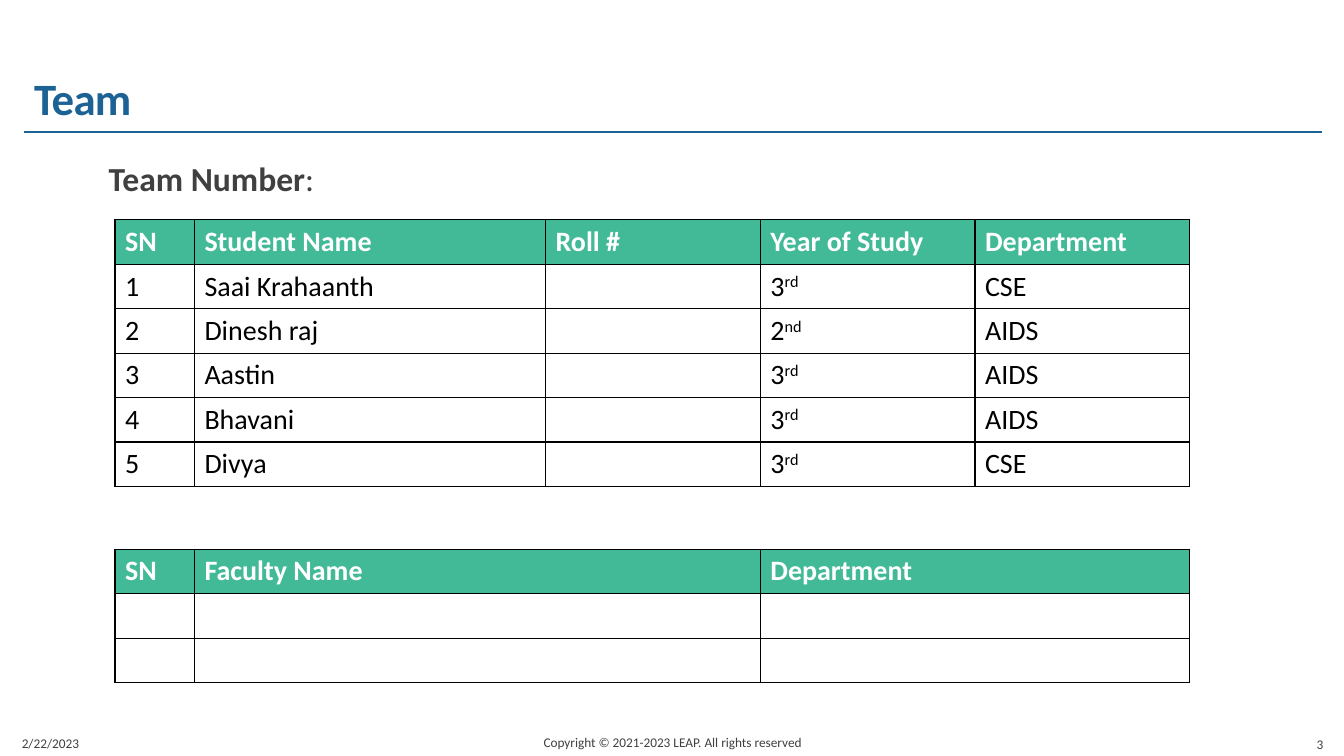
from lxml.etree import SubElement
from pptx import Presentation
from pptx.dml.color import RGBColor
from pptx.enum.shapes import MSO_CONNECTOR
from pptx.enum.text import MSO_ANCHOR, PP_ALIGN
from pptx.oxml.ns import qn
from pptx.util import Cm, Pt

# Content: a cell is a string, or a (number, ordinal suffix) pair
TITLE = "Team"
TEAM_LABEL = "Team Number"
DATE = "2/22/2023"
COPYRIGHT = "Copyright © 2021-2023 LEAP. All rights reserved"
PAGE = "3"
STUDENTS = [
    ("SN", "Student Name", "Roll #", "Year of Study", "Department"),
    ("1", "Saai Krahaanth", "", ("3", "rd"), "CSE"),
    ("2", "Dinesh raj", "", ("2", "nd"), "AIDS"),
    ("3", "Aastin", "", ("3", "rd"), "AIDS"),
    ("4", "Bhavani", "", ("3", "rd"), "AIDS"),
    ("5", "Divya", "", ("3", "rd"), "CSE"),
]
FACULTY = [("SN", "Faculty Name", "Department"), ("",) * 3, ("",) * 3]

THEME = {
    "font": "Calibri",
    "blue": "1D6294", "green": "43BA97", "grey": "404040",
    "black": "000000", "white": "FFFFFF",
    "title": 32, "label": 24, "table": 20, "footer": 9.5,
}

# Layout in centimetres
TABLE_LEFT, ROW_HEIGHT = 2.9, 1.12
STUDENT_COLUMNS = [2, 8.85] + [5.41] * 3
FACULTY_COLUMNS = [2, 14.26, 10.82]
FOOTER_TOP, FOOTER_HEIGHT = 18.03, 1.02

deck = Presentation()
deck.slide_width, deck.slide_height = Cm(33.87), Cm(19.05)
slide = deck.slides.add_slide(deck.slide_layouts[6])


def write(paragraph, text, size="table", color="black", bold=False,
          baseline=None, spacing=None):
    run = paragraph.add_run()
    run.text = text
    font = run.font
    font.name, font.size, font.bold = THEME["font"], Pt(THEME[size]), bold
    font.color.rgb = RGBColor.from_string(THEME[color])
    for attribute, value in (("baseline", baseline), ("spc", spacing)):
        if value is not None:
            run._r.get_or_add_rPr().set(attribute, str(value))


def add_box(left, top, width, height, anchor=MSO_ANCHOR.BOTTOM,
            align=PP_ALIGN.LEFT):
    frame = slide.shapes.add_textbox(
        Cm(left), Cm(top), Cm(width), Cm(height)).text_frame
    frame.word_wrap = True
    frame.vertical_anchor = anchor
    frame.paragraphs[0].alignment = align
    return frame.paragraphs[0]


def set_borders(cell):
    properties = cell._tc.get_or_add_tcPr()
    for index, side in enumerate(("a:lnL", "a:lnR", "a:lnT", "a:lnB")):
        line = properties.makeelement(qn(side), {"w": str(Pt(1))})
        fill = SubElement(line, qn("a:solidFill"))
        SubElement(fill, qn("a:srgbClr"), val=THEME["black"])
        properties.insert(index, line)


def add_grid(rows, columns, top):
    table = slide.shapes.add_table(
        len(rows), len(columns), Cm(TABLE_LEFT), Cm(top),
        Cm(sum(columns)), Cm(ROW_HEIGHT * len(rows))).table
    table.horz_banding = False
    for column, width in zip(table.columns, columns):
        column.width = Cm(width)
    for r, row in enumerate(rows):
        header = r == 0
        table.rows[r].height = Cm(ROW_HEIGHT)
        for c, content in enumerate(row):
            cell = table.cell(r, c)
            cell.fill.solid()
            cell.fill.fore_color.rgb = RGBColor.from_string(
                THEME["green" if header else "white"])
            set_borders(cell)
            paragraph = cell.text_frame.paragraphs[0]
            if isinstance(content, tuple):
                number, suffix = content
                write(paragraph, number)
                write(paragraph, suffix, baseline=30000)
            elif content:
                write(paragraph, content, bold=header,
                      color="white" if header else "black")


# Title and rule
rule = slide.shapes.add_connector(
    MSO_CONNECTOR.STRAIGHT, Cm(0.61), Cm(3.33), Cm(33.32), Cm(3.33))
rule.line.color.rgb = RGBColor.from_string(THEME["blue"])
rule.line.width = Pt(1)
SubElement(rule._element.spPr, qn("a:effectLst"))
title = add_box(0.61, 0.99, 32.72, 2.29)
title.line_spacing = 0.85
write(title, TITLE, size="title", color="blue", bold=True, spacing=-50)

# Footer
for text, left, top, width, align in (
        (DATE, 0.3, FOOTER_TOP, 6.86, PP_ALIGN.LEFT),
        (COPYRIGHT, 10.26, FOOTER_TOP - 0.02, 13.39, PP_ALIGN.CENTER),
        (PAGE, 29.97, FOOTER_TOP + 0.02, 3.63, PP_ALIGN.RIGHT)):
    write(add_box(left, top, width, FOOTER_HEIGHT, align=align),
          text, size="footer", color="grey")

# Team label and tables
label = add_box(2.49, 3.86, 16.94, 1.27, anchor=MSO_ANCHOR.TOP)
write(label, TEAM_LABEL, size="label", color="grey", bold=True)
write(label, ":", size="label", color="grey")
add_grid(STUDENTS, STUDENT_COLUMNS, top=5.54)
add_grid(FACULTY, FACULTY_COLUMNS, top=13.84)

deck.save("out.pptx")
